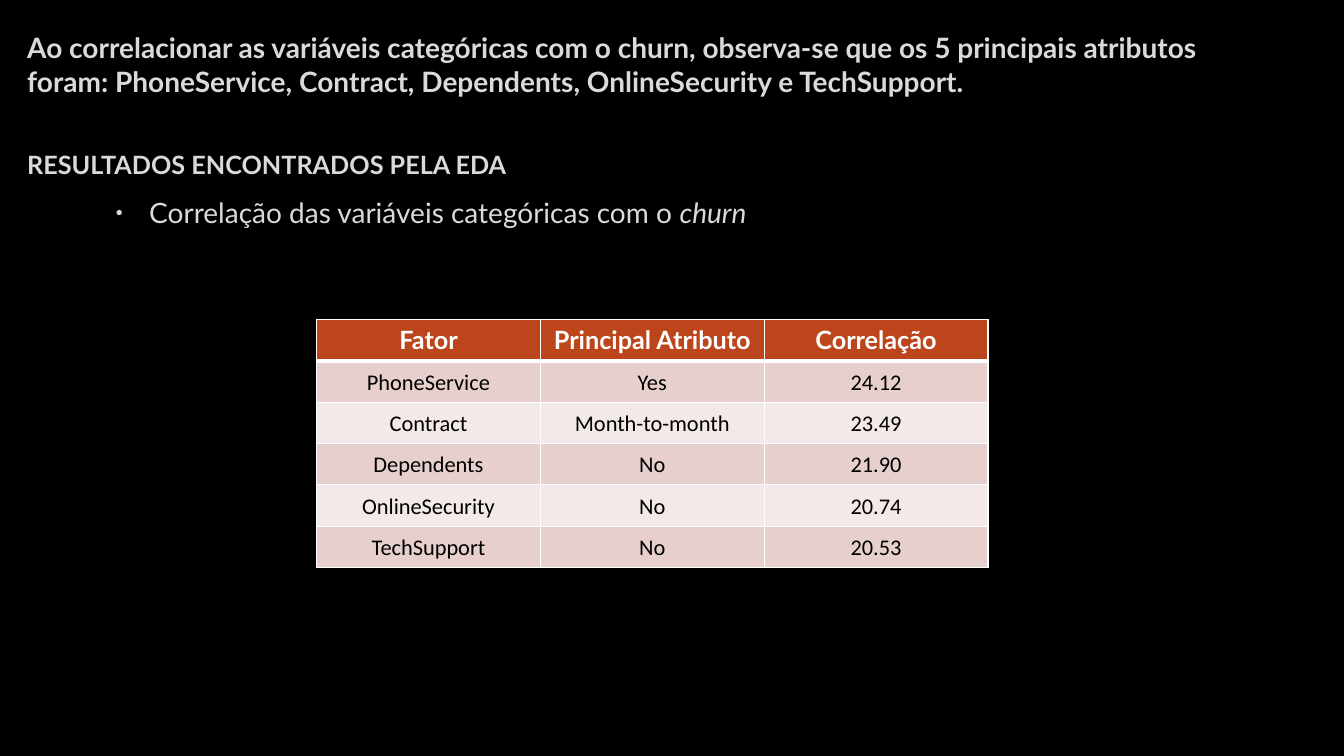
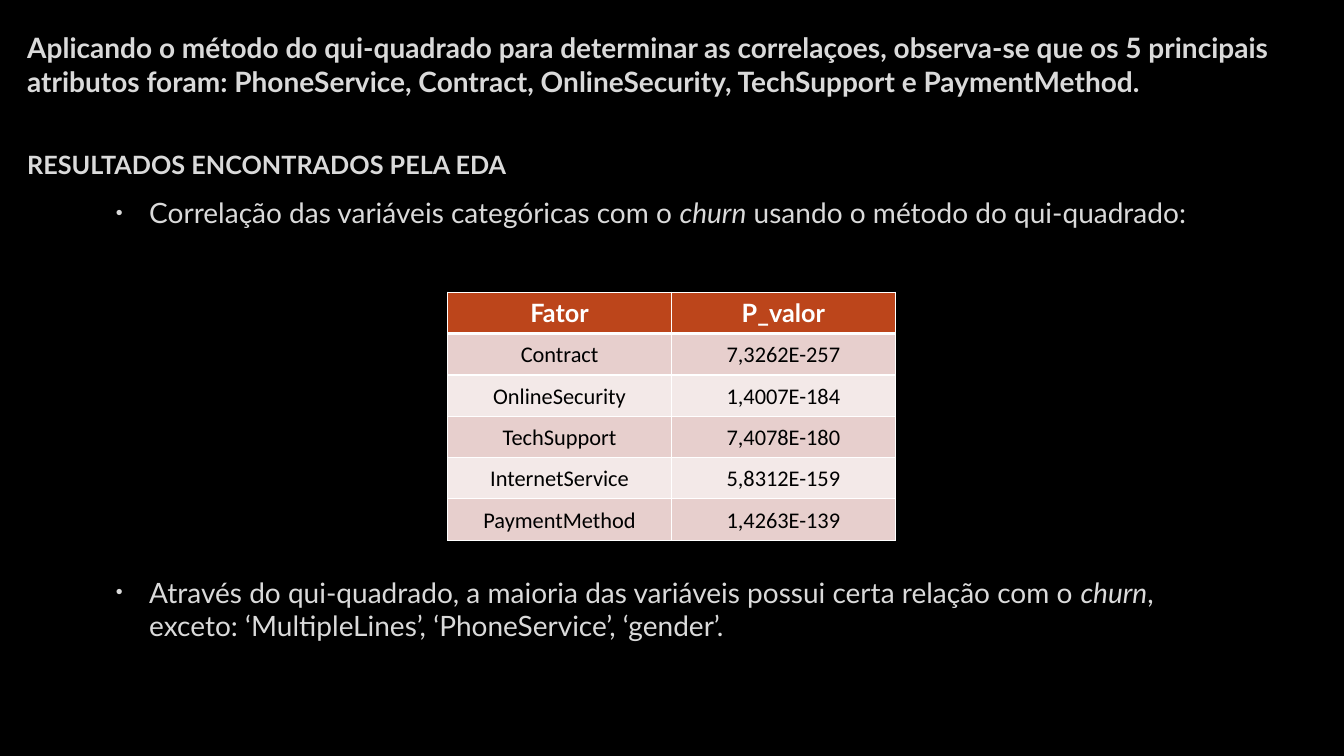
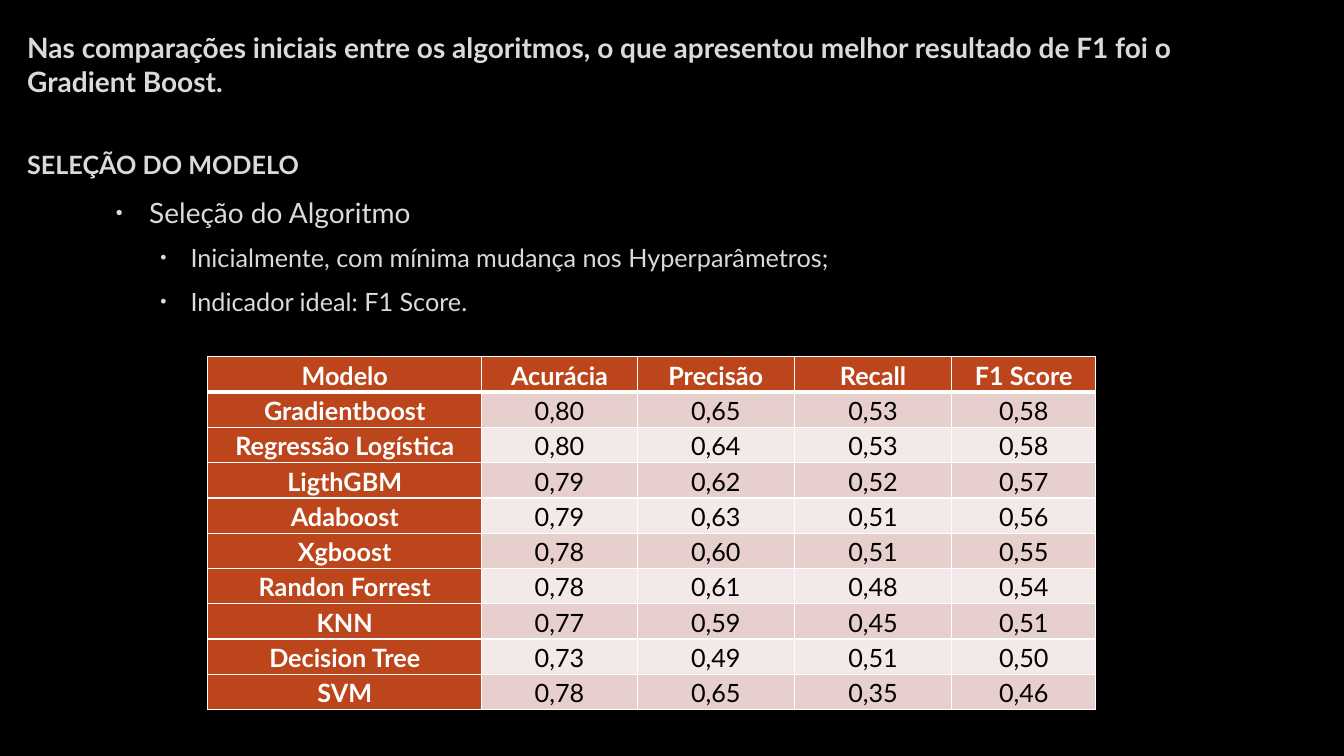
import pptx
import pptx.dml.color
import pptx.enum.text
import pptx.oxml
import pptx.oxml.ns
import pptx.util

Inches, Pt = pptx.util.Inches, pptx.util.Pt
MIDDLE = pptx.enum.text.MSO_ANCHOR.MIDDLE
TOP = pptx.enum.text.MSO_ANCHOR.TOP
LEFT = pptx.enum.text.PP_ALIGN.LEFT
CENTER = pptx.enum.text.PP_ALIGN.CENTER

COLORS = {
    "background": "000000",
    "text": "DADADA",
    "header": "BC451B",
    "odd_row": "E7CFCD",
    "even_row": "F3E9E8",
    "light": "FFFFFF",
    "dark": "000000",
}
FORMATS = {
    "title": {"name": "Lato", "size": Pt(20), "bold": True, "color": "text"},
    "section": {"name": "Lato", "size": Pt(18), "bold": True, "color": "text"},
    "bullet 0": {"name": "Lato", "size": Pt(20), "bold": False, "color": "text"},
    "bullet 1": {"name": "Lato", "size": Pt(18), "bold": False, "color": "text"},
    "header": {"name": "Lato", "size": Pt(18), "bold": True, "color": "light"},
    "entry": {"name": "Calibri", "size": Pt(16), "bold": False, "color": "dark"},
    "score": {"name": "Lato", "size": Pt(18), "bold": False, "color": "dark"},
}
INDENTS = [(0.38, -0.33), (0.79, -0.3)]  # left margin and first line, by level
BOXES = {
    "title": (0.17, 0.11, 12.59, 1.06),
    "body": (1, 1.89, 11.32, 5.13),
    "section": (0.17, 1.44, 11.32, 0.38),
}

# Bullets are (level, space before in points or None, text); *stars* mark italics.
SLIDES = [
    {
        "title": "Ao correlacionar as variáveis categóricas com o churn, observa-se que os 5 principais "
                 "atributos foram: PhoneService, Contract, Dependents, OnlineSecurity e TechSupport.",
        "section": "RESULTADOS ENCONTRADOS PELA EDA",
        "bullets": [(0, None, "Correlação das variáveis categóricas com o *churn*")],
        "table": {
            "position": (3.14, 3.17), "columns": [2.22] * 3, "row_height": 0.41,
            "entry": "entry", "first_column": False, "header_anchor": TOP,
            "rows": [
                ("Fator", "Principal Atributo", "Correlação"),
                ("PhoneService", "Yes", "24.12"),
                ("Contract", "Month-to-month", "23.49"),
                ("Dependents", "No", "21.90"),
                ("OnlineSecurity", "No", "20.74"),
                ("TechSupport", "No", "20.53"),
            ],
        },
    },
    {
        "title": "Aplicando o método do qui-quadrado para determinar as correlaçoes, observa-se que os 5 principais "
                 "atributos foram: PhoneService, Contract, OnlineSecurity, TechSupport e PaymentMethod.",
        "section": "RESULTADOS ENCONTRADOS PELA EDA",
        "bullets": [
            (0, None, "Correlação das variáveis categóricas com o *churn* usando o método do qui-quadrado:"),
            (0, 241, "Através do qui-quadrado, a maioria das variáveis possui certa relação com o *churn*, "
                     "exceto: ‘MultipleLines’, ‘PhoneService’, ‘gender’."),
        ],
        "table": {
            "position": (4.44, 2.9), "columns": [2.22] * 2, "row_height": 0.41,
            "entry": "entry", "first_column": False, "header_anchor": TOP,
            "rows": [
                ("Fator", "P_valor"),
                ("Contract", "7,3262E-257"),
                ("OnlineSecurity", "1,4007E-184"),
                ("TechSupport", "7,4078E-180"),
                ("InternetService", "5,8312E-159"),
                ("PaymentMethod", "1,4263E-139"),
            ],
        },
    },
    {
        "title": "Nas comparações iniciais entre os algoritmos, o que apresentou melhor resultado de F1 foi o "
                 "Gradient Boost.",
        "section": "SELEÇÃO DO MODELO",
        "bullets": [
            (0, None, "Seleção do Algoritmo"),
            (1, None, "Inicialmente, com mínima mudança nos Hyperparâmetros;"),
            (1, None, "Indicador ideal: F1 Score."),
        ],
        "table": {
            "position": (2.06, 3.54), "columns": [2.72, 1.54, 1.56, 1.56, 1.43], "row_height": 0.35,
            "entry": "score", "first_column": True, "header_anchor": MIDDLE,
            "rows": [
                ("Modelo", "Acurácia", "Precisão", "Recall", "F1 Score"),
                ("Gradientboost", "0,80", "0,65", "0,53", "0,58"),
                ("Regressão Logística", "0,80", "0,64", "0,53", "0,58"),
                ("LigthGBM", "0,79", "0,62", "0,52", "0,57"),
                ("Adaboost", "0,79", "0,63", "0,51", "0,56"),
                ("Xgboost", "0,78", "0,60", "0,51", "0,55"),
                ("Randon Forrest", "0,78", "0,61", "0,48", "0,54"),
                ("KNN", "0,77", "0,59", "0,45", "0,51"),
                ("Decision Tree", "0,73", "0,49", "0,51", "0,50"),
                ("SVM", "0,78", "0,65", "0,35", "0,46"),
            ],
        },
    },
]


def write_text(paragraph, text, format_name, alignment=LEFT):
    """Fill a paragraph with runs in a named format; text between stars is italic."""
    paragraph.alignment = alignment
    for index, part in enumerate(text.split("*")):
        if not part:
            continue
        run = paragraph.add_run()
        run.text = part
        run.font.italic = index % 2 == 1
        for attribute, value in FORMATS[format_name].items():
            if attribute == "color":
                run.font.color.rgb = pptx.dml.color.RGBColor.from_string(COLORS[value])
            else:
                setattr(run.font, attribute, value)


def add_properties(parent, *fragments, first=False):
    """Add DrawingML elements to a parent, at its start or its end."""
    namespace = pptx.oxml.ns.nsdecls("a")
    for index, (tag, attributes, content) in enumerate(fragments):
        element = pptx.oxml.parse_xml(f"<a:{tag} {namespace} {attributes}>{content}</a:{tag}>")
        parent.insert(index if first else len(parent), element)


presentation = pptx.Presentation()
presentation.slide_width, presentation.slide_height = Inches(13.33), Inches(7.5)
background = presentation.slide_master.background.fill
background.solid()
background.fore_color.rgb = pptx.dml.color.RGBColor.from_string(COLORS["background"])

layout = presentation.slide_layouts[1]
for placeholder, box in zip(layout.placeholders, (BOXES["title"], BOXES["body"])):
    placeholder.left, placeholder.top, placeholder.width, placeholder.height = map(Inches, box)

for content in SLIDES:
    slide = presentation.slides.add_slide(layout)
    title, body = slide.placeholders
    section = slide.shapes.add_textbox(*map(Inches, BOXES["section"]))
    for shape, anchor in ((title, MIDDLE), (body, TOP), (section, MIDDLE)):
        shape.text_frame.word_wrap = True
        shape.text_frame.auto_size = pptx.enum.text.MSO_AUTO_SIZE.NONE
        shape.text_frame.vertical_anchor = anchor
    write_text(title.text_frame.paragraphs[0], content["title"], "title")
    write_text(section.text_frame.paragraphs[0], content["section"], "section")

    for index, (level, space_before, text) in enumerate(content["bullets"]):
        paragraph = body.text_frame.add_paragraph() if index else body.text_frame.paragraphs[0]
        write_text(paragraph, text, f"bullet {level}")
        paragraph.level = level
        paragraph.space_after = Pt(6)
        if space_before:
            paragraph.space_before = Pt(space_before)
        properties = paragraph._p.get_or_add_pPr()
        for name, length in zip(("marL", "indent"), INDENTS[level]):
            properties.set(name, str(Inches(length)))
        add_properties(
            properties,
            ("buClr", "", f'<a:srgbClr val="{COLORS["text"]}"/>'),
            ("buSzPct", 'val="70000"', ""),
            ("buFont", 'typeface="Arial"', ""),
            ("buChar", 'char="•"', ""),
        )

    plan = content["table"]
    rows, columns = plan["rows"], plan["columns"]
    size = (sum(columns), plan["row_height"] * len(rows))
    table = slide.shapes.add_table(
        len(rows), len(columns), *map(Inches, plan["position"] + size)).table
    table.first_col = plan["first_column"]
    for column, width in zip(table.columns, columns):
        column.width = Inches(width)
    for row_index, row in enumerate(rows):
        table.rows[row_index].height = Inches(plan["row_height"])
        for column_index, text in enumerate(row):
            cell = table.cell(row_index, column_index)
            is_header = row_index == 0 or (plan["first_column"] and column_index == 0)
            fill = "header" if is_header else ("even_row", "odd_row")[row_index % 2]
            cell.fill.solid()
            cell.fill.fore_color.rgb = pptx.dml.color.RGBColor.from_string(COLORS[fill])
            cell.vertical_anchor = MIDDLE if row_index else plan["header_anchor"]
            if cell.vertical_anchor == MIDDLE:
                cell.margin_left = cell.margin_right = Inches(0.05)
                cell.margin_top = cell.margin_bottom = 0
            paragraph = cell.text_frame.paragraphs[0]
            write_text(paragraph, text, "header" if is_header else plan["entry"], CENTER)
            if cell.vertical_anchor == MIDDLE:
                paragraph.line_spacing = 1.07
            line_widths = {"lnL": 1, "lnR": 1, "lnT": 3 if row_index == 1 else 1,
                           "lnB": 3 if row_index == 0 else 1}
            line_fill = f'<a:solidFill><a:srgbClr val="{COLORS["light"]}"/></a:solidFill>'
            add_properties(
                cell._tc.get_or_add_tcPr(),
                *((side, f'w="{Pt(width)}"', line_fill) for side, width in line_widths.items()),
                first=True,
            )

presentation.save("out.pptx")
